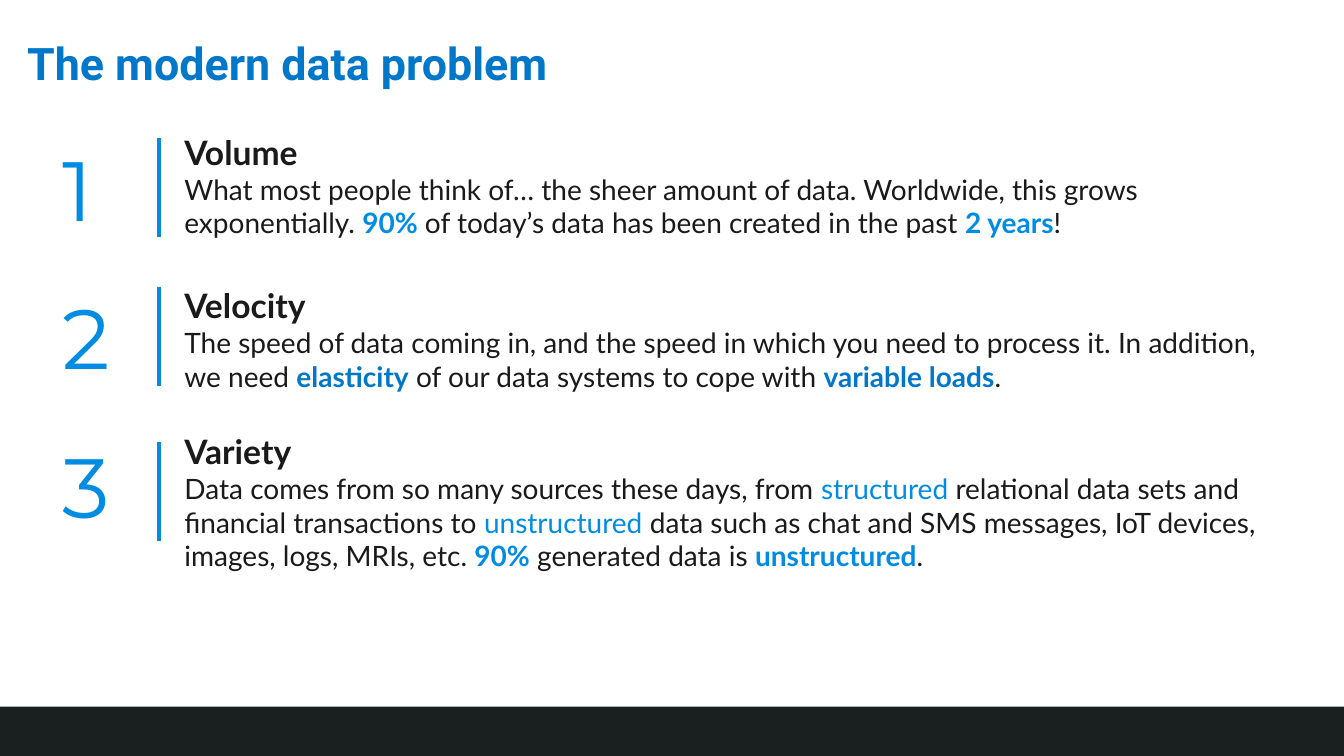
from dataclasses import dataclass

from lxml import etree
from pptx import Presentation
from pptx.dml.color import RGBColor
from pptx.enum.shapes import MSO_CONNECTOR, MSO_SHAPE
from pptx.enum.text import MSO_ANCHOR, MSO_AUTO_SIZE
from pptx.oxml.ns import qn
from pptx.slide import Slide
from pptx.text.text import TextFrame, _Paragraph
from pptx.util import Inches, Pt

LINE = MSO_CONNECTOR.STRAIGHT
RECT = MSO_SHAPE.RECTANGLE
TOP, MIDDLE = MSO_ANCHOR.TOP, MSO_ANCHOR.MIDDLE
NO_FIT, GROW = MSO_AUTO_SIZE.NONE, MSO_AUTO_SIZE.SHAPE_TO_FIT_TEXT

WIDE, HIGH = 13.33, 7.5
GRID = 100  # columns and rows on the slide


@dataclass(frozen=True)
class Theme:
    ink: str = "1A1A1A"
    bright: str = "008CE2"
    deep: str = "0077C8"
    band: str = "1A1F20"
    title_font: str = "Roboto"
    body_font: str = "Lato"
    digit_font: str = "Montserrat"
    title: int = 32
    digit: int = 60
    head: int = 24
    body: int = 20
    rule: int = 3


THEME = Theme()


@dataclass(frozen=True)
class Box:
    col: float
    row: float
    cols: float
    rows: float


@dataclass(frozen=True)
class Span:
    text: str
    color: str = THEME.ink
    bold: bool = False


@dataclass(frozen=True)
class Point:
    head: str
    spans: tuple[Span, ...]
    text_row: float
    rule_row: float
    digit_row: float
    cols: float
    rows: float


DIGIT_COL, RULE_COL, TEXT_COL = 3.9, 11.85, 12.98
DIGIT_COLS, DIGIT_ROWS, RULE_ROWS = 4.95, 14.8, 13.07
TITLE_BOX = Box(1.28, -0.93, 82.22, 19.33)
BAND_BOX = Box(0, 93.47, GRID, 6.53)

POINTS = (
    Point("Volume", (
        Span("What most people think of… the sheer amount of data. "
             "Worldwide, this grows exponentially. "),
        Span("90%", THEME.bright, True),
        Span(" of today’s data has been created in the past "),
        Span("2 years", THEME.bright, True),
        Span("!"),
    ), 16.8, 18.27, 17.47, 84.7, 15.73),
    Point("Velocity", (
        Span("The speed of data coming in, and the speed in which you need "
             "to process it. In addition, we need "),
        Span("elasticity", THEME.deep, True),
        Span(" of our data systems to cope with "),
        Span("variable loads", THEME.deep, True),
        Span("."),
    ), 37.07, 38, 37.07, 81.77, 15.73),
    Point("Variety", (
        Span("Data comes from so many sources these days, from "),
        Span("structured", THEME.bright),
        Span(" relational data sets and financial transactions to "),
        Span("unstructured", THEME.bright),
        Span(" data such as chat and SMS messages, IoT devices, images, "
             "logs, MRIs, etc. "),
        Span("90%", THEME.bright, True),
        Span(" generated data is "),
        Span("unstructured", THEME.bright, True),
        Span("."),
    ), 56.4, 58.53, 56.8, 81.77, 20.13),
)


def across(cols: float) -> int:
    return Inches(WIDE * cols / GRID)


def down(rows: float) -> int:
    return Inches(HIGH * rows / GRID)


def place(box: Box) -> tuple[int, int, int, int]:
    return across(box.col), down(box.row), across(box.cols), down(box.rows)


def add_run(para: _Paragraph, span: Span, size: int, font: str) -> None:
    run = para.add_run()
    run.text = span.text
    run.font.size = Pt(size)
    run.font.name = font
    run.font.bold = span.bold
    run.font.color.rgb = RGBColor.from_string(span.color)


def add_text(slide: Slide, box: Box, wrap: bool = True,
             fit: MSO_AUTO_SIZE = GROW,
             anchor: MSO_ANCHOR = TOP) -> TextFrame:
    frame = slide.shapes.add_textbox(*place(box)).text_frame
    frame.word_wrap = wrap
    frame.auto_size = fit
    frame.vertical_anchor = anchor
    return frame


def add_band(slide: Slide) -> None:
    band = slide.shapes.add_shape(RECT, *place(BAND_BOX))
    band.shadow.inherit = False
    band.fill.solid()
    band.fill.fore_color.rgb = RGBColor.from_string(THEME.band)
    band.line.fill.background()


def add_title(slide: Slide) -> None:
    para = add_text(slide, TITLE_BOX, fit=NO_FIT, anchor=MIDDLE).paragraphs[0]
    para.line_spacing = 0.9
    add_run(para, Span("The modern data problem", THEME.deep, True),
            THEME.title, THEME.title_font)


def add_rule(slide: Slide, row: float) -> None:
    left = across(RULE_COL)
    rule = slide.shapes.add_connector(
        LINE, left, down(row), left, down(row + RULE_ROWS))
    rule.line.color.rgb = RGBColor.from_string(THEME.bright)
    rule.line.width = Pt(THEME.rule)
    etree.SubElement(rule._element.spPr, qn("a:effectLst"))


def add_point(slide: Slide, digit: int, point: Point) -> None:
    """Draw one numbered point: digit, upright rule and text."""
    add_rule(slide, point.rule_row)
    spot = Box(DIGIT_COL, point.digit_row, DIGIT_COLS, DIGIT_ROWS)
    add_run(add_text(slide, spot, wrap=False).paragraphs[0],
            Span(str(digit), THEME.bright), THEME.digit, THEME.digit_font)
    area = Box(TEXT_COL, point.text_row, point.cols, point.rows)
    para = add_text(slide, area).paragraphs[0]
    add_run(para, Span(point.head, bold=True), THEME.head, THEME.body_font)
    para.add_line_break()
    for span in point.spans:
        add_run(para, span, THEME.body, THEME.body_font)


def main() -> None:
    deck = Presentation()
    deck.slide_width, deck.slide_height = Inches(WIDE), Inches(HIGH)
    slide = deck.slides.add_slide(deck.slide_layouts[6])
    add_band(slide)
    add_title(slide)
    for digit, point in enumerate(POINTS, 1):
        add_point(slide, digit, point)
    deck.save("out.pptx")


if __name__ == "__main__":
    main()
